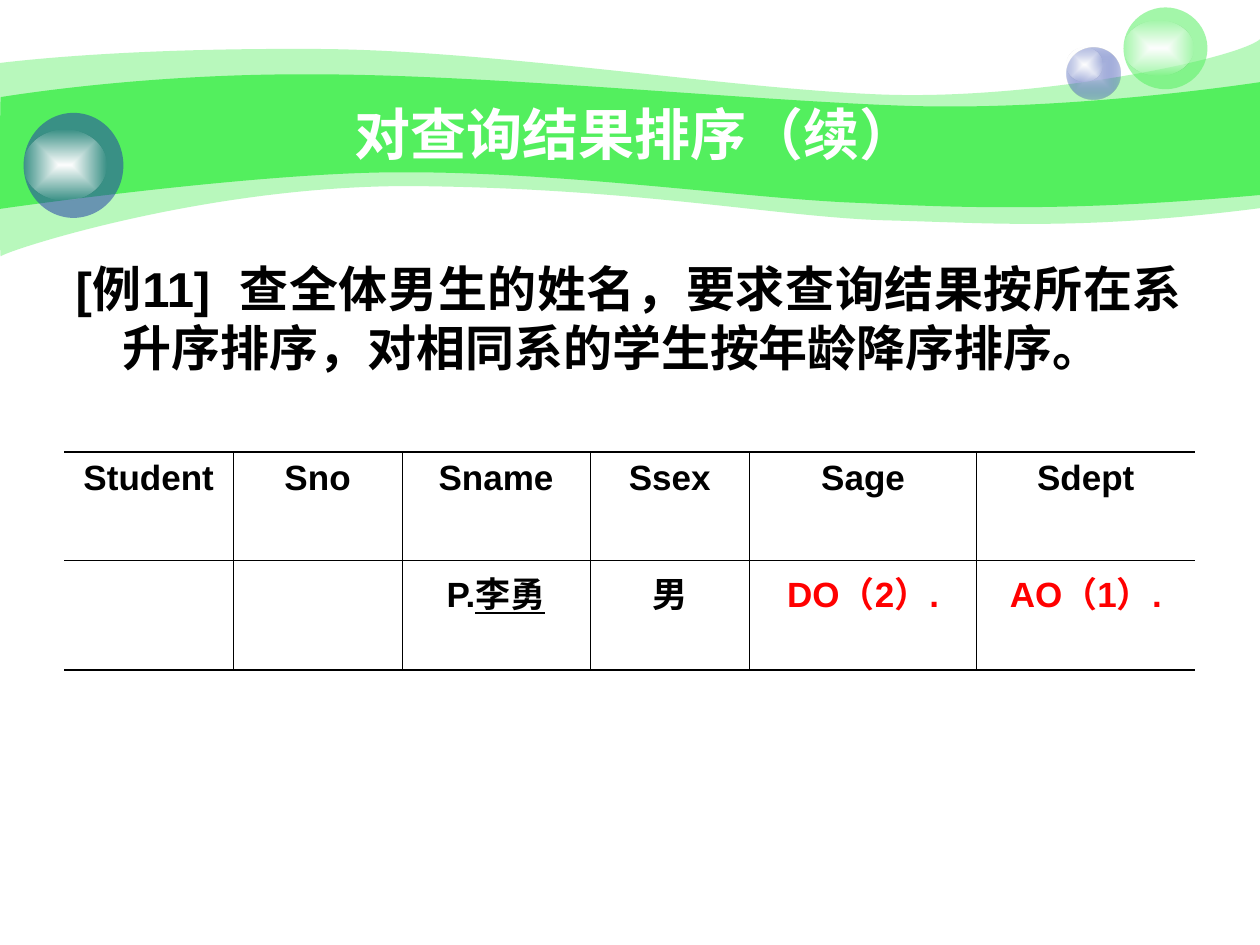
from lxml.etree import SubElement as Sub
from pptx import Presentation
from pptx.dml.color import RGBColor as Rgb
from pptx.enum.shapes import MSO_SHAPE as Shape
from pptx.enum.text import MSO_ANCHOR as Anchor, MSO_AUTO_SIZE as Fit, PP_ALIGN as Align
from pptx.oxml.ns import qn
from pptx.util import Pt

HUE = {"green": "53EF5E", "blue": "233DA9", "pale": "C7CEE9",
       "white": "FFFFFF", "black": "000000", "red": "FF0000"}

# Each band: start, then curves (two controls and an end) or straight ends.
BACK = [(0, 36),
        (17, 34, 77, 27.5, 178, 28), (278, 28, 414, 50.5, 503, 54),
        (592, 57.5, 706, 34, 720, 22.5),
        (720, 119),
        (618, 132, 567, 127.5, 507.5, 126), (448, 124.5, 371, 108.5, 247, 106.5),
        (124, 103.5, 3, 143.5, 0.5, 146.5), (-0.5, 150, 0, 54, 0, 36)]
FRONT = [(0.5, 55.5),
         (1.5, 55.5, 79, 42, 178.5, 42.5), (278, 42.5, 428.5, 57.5, 517, 60.5),
         (605.5, 63.5, 703, 49.5, 720, 47),
         (720, 111.5),
         (614, 121, 551, 119, 491, 116), (431.5, 114, 322, 98, 228, 98.5),
         (146, 98.5, -1.5, 119.5, -0.5, 119.5), (0, 119.5, 0, 55.5, 0.5, 55.5)]

HEADS = ["Student", "Sno", "Sname", "Ssex", "Sage", "Sdept"]
QUERY = [[], [], [("P.", {}), ("李勇", {"line": True})], [("男", {})],
         [("DO（2）.", {"hue": "red"})], [("AO（1）.", {"hue": "red"})]]
WIDE = [96.5, 96.5, 107.5, 91, 130, 124.5]
HIGH = [62, 62.6]
THIN, BOLD = 0.45, 1.08


def tint(node, hue, alpha=100):
    clr = Sub(node, qn("a:srgbClr"), val=HUE[hue])
    if alpha < 100:
        Sub(clr, qn("a:alpha"), val=str(alpha * 1000))


def paint(shape, hue, alpha=100):
    shape.shadow.inherit = False
    shape.line.fill.background()
    shape.fill.solid()
    shape.fill.fore_color.rgb = Rgb.from_string(HUE[hue])
    if alpha < 100:
        clr = shape.element.spPr.find(qn("a:solidFill")).find(qn("a:srgbClr"))
        Sub(clr, qn("a:alpha"), val=str(alpha * 1000))


def glow(shape, core, rim, alpha):
    """Fill from the core colour to a partly clear rim."""
    paint(shape, core)
    props = shape.element.spPr
    old = props.find(qn("a:solidFill"))
    grad = Sub(props, qn("a:gradFill"), rotWithShape="1")
    stops = Sub(grad, qn("a:gsLst"))
    tint(Sub(stops, qn("a:gs"), pos="0"), core)
    tint(Sub(stops, qn("a:gs"), pos="100000"), rim, alpha)
    way = Sub(grad, qn("a:path"), path="rect")
    Sub(way, qn("a:fillToRect"), l="50000", t="50000", r="50000", b="50000")
    props.replace(old, grad)


def band(slide, outline, alpha=100):
    """Draw a closed outline, bending its sides into Bezier curves."""
    ends = [(Pt(step[-2]), Pt(step[-1])) for step in outline]
    form = slide.shapes.build_freeform(*ends[0])
    form.add_line_segments(ends[1:], close=True)
    shape = form.convert_to_shape()
    sides = list(shape.element.iter(qn("a:lnTo")))
    for side, step in zip(sides, outline[1:]):
        if len(step) == 6:
            bend = Sub(side.getparent(), qn("a:cubicBezTo"))
            for x, y in zip(step[::2], step[1::2]):
                Sub(bend, qn("a:pt"), x=str(Pt(x) - shape.left),
                    y=str(Pt(y) - shape.top))
            side.getparent().replace(side, bend)
    paint(shape, "green", alpha)


def ball(slide, box, shine, hue, alpha, core=None):
    """A disc with a lighter spot, grouped."""
    group = slide.shapes.add_group_shape()
    disc, spot = (group.shapes.add_shape(Shape.OVAL, *map(Pt, size))
                  for size in (box, shine))
    if core:
        glow(disc, core, hue, alpha)
    else:
        paint(disc, hue, alpha)
    glow(spot, "white", "white", 0)


def write(para, text, size=20, hue="black", align=Align.CENTER, line=None):
    para.alignment = align
    para.space_before = Pt(0)
    run = para.add_run()
    run.text = text
    font = run.font
    font.name, font.size, font.bold, font.underline = "Arial", Pt(size), True, line
    font.color.rgb = Rgb.from_string(HUE[hue])


def place(holder, box, anchor):
    """Move a placeholder, bring it to the front and return its paragraph."""
    holder.left, holder.top, holder.width, holder.height = map(Pt, box)
    holder.element.getparent().append(holder.element)
    frame = holder.text_frame
    frame.auto_size = Fit.NONE
    frame.vertical_anchor = anchor
    return frame.paragraphs[0]


def edge(cell, side, width):
    props = cell._tc.get_or_add_tcPr()
    line = Sub(props, qn("a:ln" + side), w=str(Pt(width)))
    if width:
        tint(Sub(line, qn("a:solidFill")), "black")
    else:
        Sub(line, qn("a:noFill"))


def grid(slide):
    rows = [[[(head, {})] for head in HEADS], QUERY]
    frame = slide.shapes.add_table(len(rows), len(HEADS), Pt(36.75), Pt(258.4),
                                   Pt(sum(WIDE)), Pt(sum(HIGH)))
    table = frame.table
    table.first_row = table.horz_banding = False
    for col, width in zip(table.columns, WIDE):
        col.width = Pt(width)
    last = len(HEADS) - 1
    for r, row in enumerate(rows):
        table.rows[r].height = Pt(HIGH[r])
        for c, runs in enumerate(row):
            cell = table.cell(r, c)
            edge(cell, "L", THIN if c else 0)
            edge(cell, "R", THIN if c < last else 0)
            edge(cell, "T", THIN if r else BOLD)
            edge(cell, "B", BOLD if r else THIN)
            cell.fill.background()
            for text, style in runs:
                write(cell.text_frame.paragraphs[0], text, **style)


def main():
    deck = Presentation()
    deck.slide_width, deck.slide_height = Pt(720), Pt(540)
    slide = deck.slides.add_slide(deck.slide_layouts[1])

    band(slide, BACK, 41)
    band(slide, FRONT)
    ball(slide, (609.5, 27, 31, 29.5), (609.5, 27, 20.5, 19.5), "blue", 31, "pale")
    ball(slide, (642, 4.25, 48, 46.75), (642, 12, 40, 31), "green", 53)
    ball(slide, (13.5, 64.5, 57, 60), (13.5, 74, 47.5, 40.5), "blue", 53)

    title = place(slide.shapes.title, (72, 54, 582, 44.5), Anchor.MIDDLE)
    write(title, "对查询结果排序（续）", size=32, hue="white")

    body = place(slide.placeholders[1], (36, 144, 647, 354), Anchor.TOP)
    props = body._p.get_or_add_pPr()
    props.set("marL", str(Pt(27)))
    props.set("indent", str(Pt(-27)))
    Sub(props, qn("a:buNone"))
    write(body, "[例11]  查全体男生的姓名，要求查询结果按所在系升序排序，对相同系的学生按年龄降序排序。",
          size=28, align=Align.JUSTIFY)

    grid(slide)
    deck.save("out.pptx")


if __name__ == "__main__":
    main()
